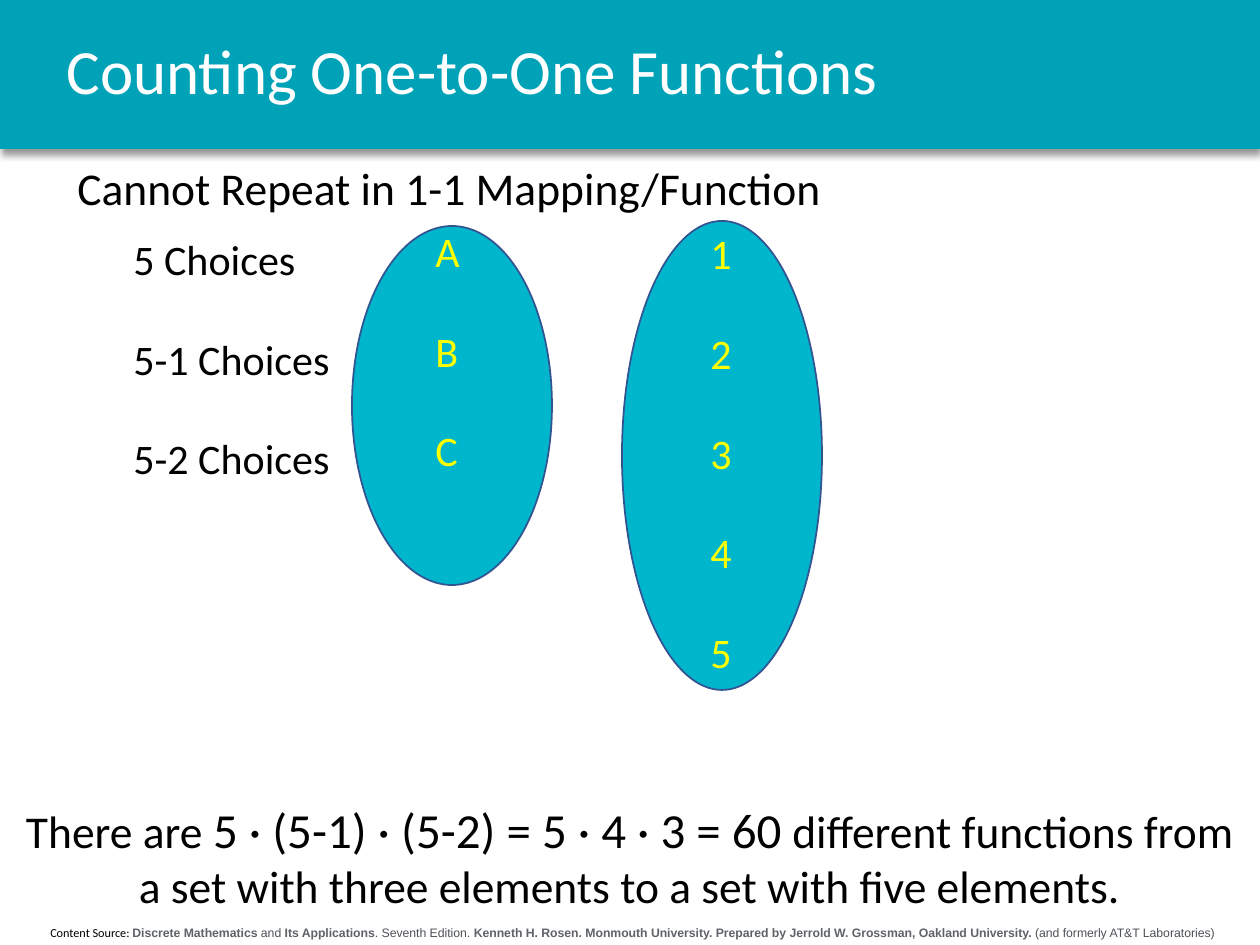
from lxml.etree import SubElement
from pptx import Presentation
from pptx.dml.color import RGBColor
from pptx.enum.shapes import MSO_SHAPE as Shape
from pptx.enum.text import MSO_ANCHOR as Anchor, MSO_AUTO_SIZE as AutoSize, PP_ALIGN as Align
from pptx.oxml.ns import qn
from pptx.util import Pt

PX = 914400 / 126
COLOURS = {
    "band": "00A2B8",
    "oval": "00B6CC",
    "outline": "325491",
    "white": "FFFFFF",
    "black": "000000",
    "yellow": "FFFF00",
    "citation": "5F6368",
    "citation_plain": "4D5156",
}
ITEM_GAP = Pt(28.3)
HEADING = {"size": Pt(26)}
FORMULA = {"size": Pt(28)}
ITEM = {"size": Pt(24)}
SOURCE = {"size": Pt(7)}
CITED = {"size": Pt(7), "name": "Arial", "bold": True, "colour": "citation"}
CITED_PLAIN = {"size": Pt(7), "name": "Arial", "bold": False, "colour": "citation_plain"}


def px(*lengths):
    return [round(length * PX) for length in lengths]


def rgb(name):
    return RGBColor.from_string(COLOURS[name])


def apply(target, values):
    for name, value in values.items():
        setattr(target, name, value)


def write_spans(para, spans):
    for text, style in spans:
        span = para.add_run()
        span.text = text
        values = {"name": "Calibri", "colour": "black", **style}
        span.font.color.rgb = rgb(values.pop("colour"))
        apply(span.font, values)


def add_text(page, place, paras, align=Align.LEFT, gap=0):
    box = page.shapes.add_textbox(*px(*place))
    frame = box.text_frame
    apply(frame, {"word_wrap": True, "auto_size": AutoSize.NONE})
    for index, spans in enumerate(paras):
        para = frame.add_paragraph() if index else frame.paragraphs[0]
        para.alignment = align
        if index and gap:
            para.space_before = gap
        write_spans(para, spans)


def add_items(page, place, labels, colour):
    style = {**ITEM, "colour": colour}
    add_text(page, place, [[(label, style)] for label in labels], gap=ITEM_GAP)


def add_filled(page, kind, place, fill):
    shape = page.shapes.add_shape(kind, *px(*place))
    shape.shadow.inherit = False
    shape.fill.solid()
    shape.fill.fore_color.rgb = rgb(fill)
    return shape


def add_oval(page, place):
    oval = add_filled(page, Shape.OVAL, place, "oval")
    oval.line.color.rgb = rgb("outline")
    oval.line.width = Pt(1)


def add_band(page):
    band = add_filled(page, Shape.RECTANGLE, (0, 0, 1260, 149), "band")
    band.line.fill.background()
    effects = band._element.spPr.find(qn("a:effectLst"))
    shadow = SubElement(effects, qn("a:outerShdw"), blurRad=str(Pt(4)),
                        dist=str(Pt(3)), dir="5400000", rotWithShape="0")
    tint = SubElement(shadow, qn("a:srgbClr"), val=COLOURS["black"])
    SubElement(tint, qn("a:alpha"), val="40000")
    page.shapes._spTree.insert(2, band._element)


def set_title(page, text):
    title = page.shapes.title
    apply(title, dict(zip(("left", "top", "width", "height"), px(54, 0, 1172, 149))))
    frame = title.text_frame
    apply(frame, {"word_wrap": True, "auto_size": AutoSize.NONE,
                  "vertical_anchor": Anchor.MIDDLE})
    para = frame.paragraphs[0]
    apply(para, {"alignment": Align.LEFT, "line_spacing": 0.9})
    write_spans(para, [(text, {"size": Pt(36), "colour": "white"})])


def main():
    deck = Presentation()
    deck.slide_width, deck.slide_height = px(1260, 945)
    page = deck.slides.add_slide(deck.slide_layouts[5])
    add_band(page)
    set_title(page, "Counting One-to-One Functions")

    add_text(page, (5, 919, 1255, 28), [[
        ("Content Source: ", SOURCE),
        ("Discrete Mathematics", CITED),
        (" and ", CITED_PLAIN),
        ("Its Applications", CITED),
        (". Seventh Edition. ", CITED_PLAIN),
        ("Kenneth H. Rosen. Monmouth University. Prepared by Jerrold W. Grossman, "
         "Oakland University.", CITED),
        (" (and formerly AT&T Laboratories)", CITED_PLAIN),
    ]], Align.CENTER)

    add_oval(page, (352, 226, 200, 359))
    add_items(page, (423, 219, 73, 267), "ABC", "yellow")
    add_oval(page, (622, 221, 200, 469))
    add_items(page, (698, 221, 73, 522), "12345", "yellow")

    add_text(page, (0, 793, 1260, 127), [[
        ("There are ", HEADING),
        ("5 · (5-1) · (5-2) = 5 · 4 · 3 = 60 ", FORMULA),
        ("different functions from a set with three elements "
         "to a set with five elements.", HEADING),
    ]], Align.CENTER)
    add_items(page, (121, 227, 265, 267),
              ("5 Choices", "5-1 Choices", "5-2 Choices"), "black")
    add_text(page, (65, 154, 1172, 68),
             [[("Cannot Repeat in 1-1 Mapping/Function", HEADING)]])
    deck.save("out.pptx")


if __name__ == "__main__":
    main()
